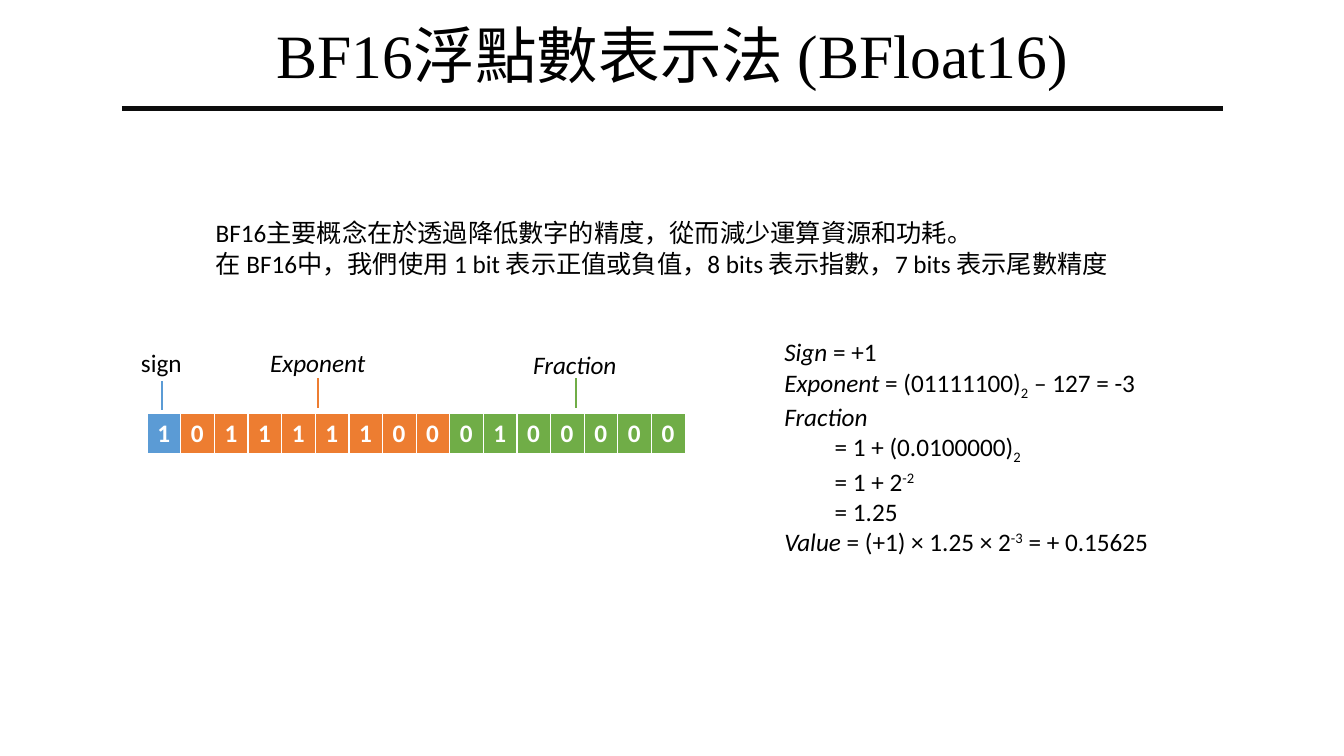
from lxml.etree import SubElement
from pptx import Presentation
from pptx.dml.color import RGBColor
from pptx.enum.shapes import MSO_CONNECTOR as Connector
from pptx.enum.text import MSO_ANCHOR as Anchor, MSO_AUTO_SIZE as AutoSize, PP_ALIGN as Align
from pptx.oxml.ns import qn
from pptx.util import Inches, Pt

BLACK = RGBColor(0x00, 0x00, 0x00)
WHITE = RGBColor(0xFF, 0xFF, 0xFF)
RULE = RGBColor(0x0D, 0x0D, 0x0D)
BLUE = RGBColor(0x5B, 0x9B, 0xD5)
ORANGE = RGBColor(0xED, 0x7D, 0x31)
GREEN = RGBColor(0x70, 0xAD, 0x47)

ITALIC, SUBSCRIPT, SUPERSCRIPT = "italic", "subscript", "superscript"
BASELINES = {SUBSCRIPT: "-25000", SUPERSCRIPT: "30000"}
BORDERS = {"a:lnL": 1, "a:lnR": 1, "a:lnT": 1, "a:lnB": 3}

FIELDS = [("1", BLUE), ("01111100", ORANGE), ("0100000", GREEN)]

CONCEPT = [
    [("BF16主要概念在於透過降低數字的精度，從而減少運算資源和功耗。", None)],
    [("在 BF16中，我們使用 1 bit 表示正值或負值，8 bits 表示指數，7 bits 表示尾數精度", None)],
]

CALCULATION = [
    [("Sign", ITALIC), (" = +1", None)],
    [("Exponent", ITALIC), (" = (01111100)", None), ("2", SUBSCRIPT), (" – 127 = -3", None)],
    [("Fraction", ITALIC)],
    [("= 1 + (0.0100000)", None), ("2", SUBSCRIPT)],
    [("= 1 + 2", None), ("-2", SUPERSCRIPT)],
    [("= 1.25", None)],
    [("Value", ITALIC), (" = (+1) × 1.25 × 2", None), ("-3", SUPERSCRIPT), (" = + 0.15625", None)],
]

LABELS = [
    ("sign", None, (1.3, 3.4, 0.61, 0.4), 3.78, 4.07, BLUE),
    ("Exponent", ITALIC, (2.58, 3.4, 1.15, 0.4), 3.75, 4.05, ORANGE),
    ("Fraction", ITALIC, (5.19, 3.42, 1.04, 0.4), 3.75, 4.05, GREEN),
]


class SlideBuilder:
    def __init__(self, slide, font="Calibri", size=18):
        self.slide = slide
        self.font = font
        self.size = size

    def style(self, run, color=BLACK, bold=False, kind=None, font=None, size=None):
        run.font.name = font or self.font
        run.font.size = Pt(size or self.size)
        run.font.color.rgb = color
        run.font.bold = bold
        run.font.italic = kind == ITALIC
        if kind in BASELINES:
            run._r.get_or_add_rPr().set("baseline", BASELINES[kind])

    def text(self, box, lines, wrap=True, font=None, size=None):
        shape = self.slide.shapes.add_textbox(*map(Inches, box))
        frame = shape.text_frame
        frame.word_wrap = wrap
        frame.auto_size = AutoSize.SHAPE_TO_FIT_TEXT
        for index, line in enumerate(lines):
            paragraph = frame.add_paragraph() if index else frame.paragraphs[0]
            for content, kind in line:
                run = paragraph.add_run()
                run.text = content
                self.style(run, kind=kind, font=font, size=size)
            if line[0][0].startswith("="):
                paragraph._p.get_or_add_pPr().set("marL", str(Inches(0.5)))
        return frame

    def title(self, box, content):
        frame = self.text(box, [[(content, None)]], font="Times New Roman", size=44)
        frame.auto_size = AutoSize.NONE
        frame.vertical_anchor = Anchor.BOTTOM
        frame.paragraphs[0].alignment = Align.CENTER
        frame.paragraphs[0].line_spacing = 0.9

    def line(self, start, end, color, width):
        connector = self.slide.shapes.add_connector(
            Connector.STRAIGHT, *map(Inches, (*start, *end)))
        connector.line.color.rgb = color
        connector.line.width = Pt(width)
        SubElement(connector._element.spPr, qn("a:effectLst"))

    def cell_borders(self, cell):
        properties = cell._tc.get_or_add_tcPr()
        for tag, width in BORDERS.items():
            border = SubElement(properties, qn(tag), w=str(Pt(width)))
            fill = SubElement(border, qn("a:solidFill"))
            SubElement(fill, qn("a:srgbClr"), val=str(WHITE))

    def bit_table(self, box, fields):
        bits = [(bit, color) for digits, color in fields for bit in digits]
        table = self.slide.shapes.add_table(1, len(bits), *map(Inches, box)).table
        for column, (bit, color) in enumerate(bits):
            table.columns[column].width = Inches(box[2] / len(bits))
            cell = table.cell(0, column)
            cell.text_frame.text = bit
            self.style(cell.text_frame.paragraphs[0].runs[0], color=WHITE, bold=True)
            self.cell_borders(cell)
            cell.fill.solid()
            cell.fill.fore_color.rgb = color


def main():
    presentation = Presentation()
    presentation.slide_width = Inches(13.33)
    presentation.slide_height = Inches(7.5)
    slide = presentation.slides.add_slide(presentation.slide_layouts[6])
    builder = SlideBuilder(slide)

    builder.title((0.92, 0.16, 11.5, 0.8), "BF16浮點數表示法 (BFloat16)")
    builder.line((1.21, 1.08), (12.13, 1.08), RULE, 3.75)
    builder.text((2.04, 2.11, 9.25, 0.71), CONCEPT)
    builder.text((7.68, 3.29, 4.91, 2.22), CALCULATION)
    builder.bit_table((1.46, 4.1, 5.34, 0.41), FIELDS)
    for name, kind, box, top, bottom, color in LABELS:
        builder.text(box, [[(name, kind)]], wrap=False)
        center = box[0] + box[2] / 2
        builder.line((center, top), (center, bottom), color, 1.5)

    presentation.save("out.pptx")


if __name__ == "__main__":
    main()
